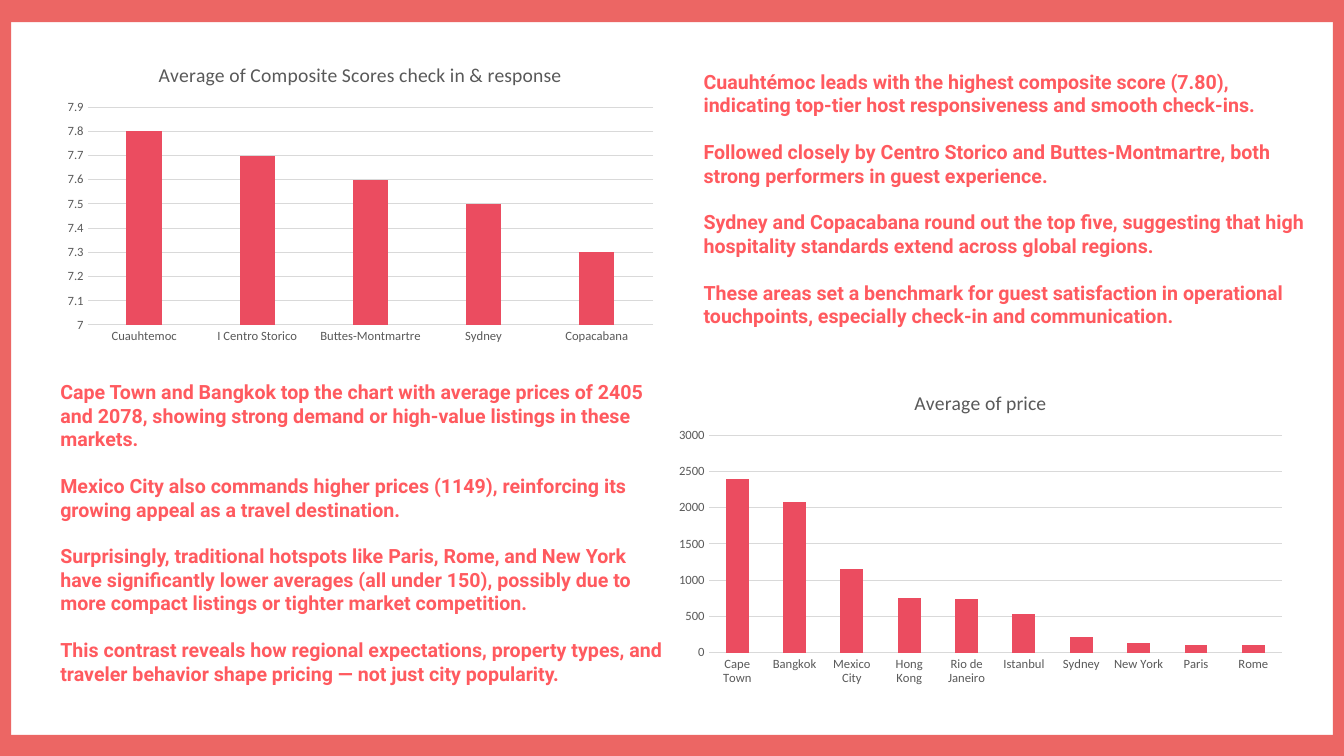
"""Build a slide with two column charts and their written findings."""
from dataclasses import dataclass

from pptx import Presentation
from pptx.chart import data as chart_data
from pptx.dml.color import RGBColor
from pptx.enum import chart as charts, shapes, text
from pptx.util import Inches, Pt


@dataclass(frozen=True)
class Theme:
    frame: str = "EC6664"
    bar: str = "EB4C60"
    finding: str = "FF5A5F"
    label: str = "595959"
    grid: str = "D9D9D9"
    background: str = "FFFFFF"
    finding_font: str = "Roboto"
    chart_font: str = "Calibri"
    body_size: float = 14
    label_size: float = 9
    paragraph_gap: float = 16.7


THEME = Theme()
WIDTH, HEIGHT = 13.33, 7.5
SIDE, TOP, BOTTOM = 0.11, 0.22, 0.21

CHARTS = [
    {
        "title": "Average of Composite Scores check in & response",
        "box": (0.55, 0.46, 6.05, 3.01),
        "values": {
            "Cuauhtemoc": 7.8, "I Centro Storico": 7.7, "Buttes-Montmartre": 7.6,
            "Sydney": 7.5, "Copacabana": 7.3,
        },
        "scale": (7, 7.9, 0.1), "gap": 219, "overlap": -27, "baseline": True,
    },
    {
        "title": "Average of price",
        "box": (6.61, 3.71, 6.23, 3.16),
        "values": {
            "Cape Town": 2400, "Bangkok": 2080, "Mexico City": 1150,
            "Hong Kong": 750, "Rio de Janeiro": 740, "Istanbul": 530,
            "Sydney": 220, "New York": 140, "Paris": 110, "Rome": 100,
        },
        "scale": (0, 3000, 500), "gap": 150, "overlap": 0, "baseline": False,
    },
]

FINDINGS = [
    ((0.5, 3.72, 6.23, 3.4), [
        "Cape Town and Bangkok top the chart with average prices of 2405 and 2078, "
        "showing strong demand or high-value listings in these markets.",
        "Mexico City also commands higher prices (1149), reinforcing its growing "
        "appeal as a travel destination.",
        "Surprisingly, traditional hotspots like Paris, Rome, and New York have "
        "significantly lower averages (all under 150), possibly due to more compact "
        "listings or tighter market competition.",
        "This contrast reveals how regional expectations, property types, and traveler "
        "behavior shape pricing — not just city popularity.",
    ]),
    ((6.88, 0.64, 6.23, 2.93), [
        "Cuauhtémoc leads with the highest composite score (7.80), indicating top-tier "
        "host responsiveness and smooth check-ins.",
        "Followed closely by Centro Storico and Buttes-Montmartre, both strong "
        "performers in guest experience.",
        "Sydney and Copacabana round out the top five, suggesting that high hospitality "
        "standards extend across global regions.",
        "These areas set a benchmark for guest satisfaction in operational touchpoints, "
        "especially check-in and communication.",
    ]),
]


def color(value):
    return RGBColor.from_string(value)


def inches(box):
    return [Inches(length) for length in box]


def style_font(font, *, name=THEME.chart_font, size=THEME.label_size,
               fill=THEME.label, bold=False):
    font.name, font.size, font.bold = name, Pt(size), bold
    font.color.rgb = color(fill)


def write(paragraph, content, *, space_before=0, **font_format):
    paragraph.space_before = Pt(space_before)
    run = paragraph.add_run()
    run.text = content
    style_font(run.font, **font_format)


def add_frame(slide):
    bands = [
        (0, 0, SIDE, HEIGHT), (WIDTH - SIDE, 0, SIDE, HEIGHT),
        (0, 0, WIDTH, TOP), (0, HEIGHT - BOTTOM, WIDTH, BOTTOM),
    ]
    for box in bands:
        shape = slide.shapes.add_shape(shapes.MSO_SHAPE.RECTANGLE, *inches(box))
        shape.shadow.inherit = False
        shape.fill.solid()
        shape.fill.fore_color.rgb = color(THEME.frame)
        shape.line.fill.background()


def style_line(line):
    line.color.rgb = color(THEME.grid)
    line.width = Pt(0.75)


def add_column_chart(slide, *, title, box, values, scale, gap, overlap, baseline):
    data = chart_data.CategoryChartData()
    data.categories = list(values)
    data.add_series(title, list(values.values()))
    chart = slide.shapes.add_chart(
        charts.XL_CHART_TYPE.COLUMN_CLUSTERED, *inches(box), data).chart
    chart.has_legend = False
    style_font(chart.font, size=10, fill="000000")
    chart.has_title = True
    write(chart.chart_title.text_frame.paragraphs[0], title, size=THEME.body_size)
    chart.chart_title.include_in_layout = False

    plot = chart.plots[0]
    plot.vary_by_categories = False
    plot.gap_width, plot.overlap = gap, overlap
    fill = plot.series[0].format.fill
    fill.solid()
    fill.fore_color.rgb = color(THEME.bar)
    plot.series[0].invert_if_negative = False

    for axis in (chart.category_axis, chart.value_axis):
        axis.major_tick_mark = axis.minor_tick_mark = charts.XL_TICK_MARK.NONE
        style_font(axis.tick_labels.font)
        axis.format.line.fill.background()
    if baseline:
        style_line(chart.category_axis.format.line)
    value_axis = chart.value_axis
    value_axis.minimum_scale, value_axis.maximum_scale, value_axis.major_unit = scale
    style_line(value_axis.major_gridlines.format.line)


def add_findings(slide, box, findings):
    frame = slide.shapes.add_textbox(*inches(box)).text_frame
    frame.word_wrap = True
    frame.auto_size = text.MSO_AUTO_SIZE.SHAPE_TO_FIT_TEXT
    for index, finding in enumerate(findings):
        paragraph = frame.add_paragraph() if index else frame.paragraphs[0]
        write(paragraph, finding, space_before=THEME.paragraph_gap if index else 0,
              name=THEME.finding_font, size=THEME.body_size,
              fill=THEME.finding, bold=True)


def main():
    presentation = Presentation()
    presentation.slide_width, presentation.slide_height = inches((WIDTH, HEIGHT))
    slide = presentation.slides.add_slide(presentation.slide_layouts[6])
    slide.background.fill.solid()
    slide.background.fill.fore_color.rgb = color(THEME.background)
    add_frame(slide)
    for chart in CHARTS:
        add_column_chart(slide, **chart)
    for box, findings in FINDINGS:
        add_findings(slide, box, findings)
    presentation.save("out.pptx")


if __name__ == "__main__":
    main()
